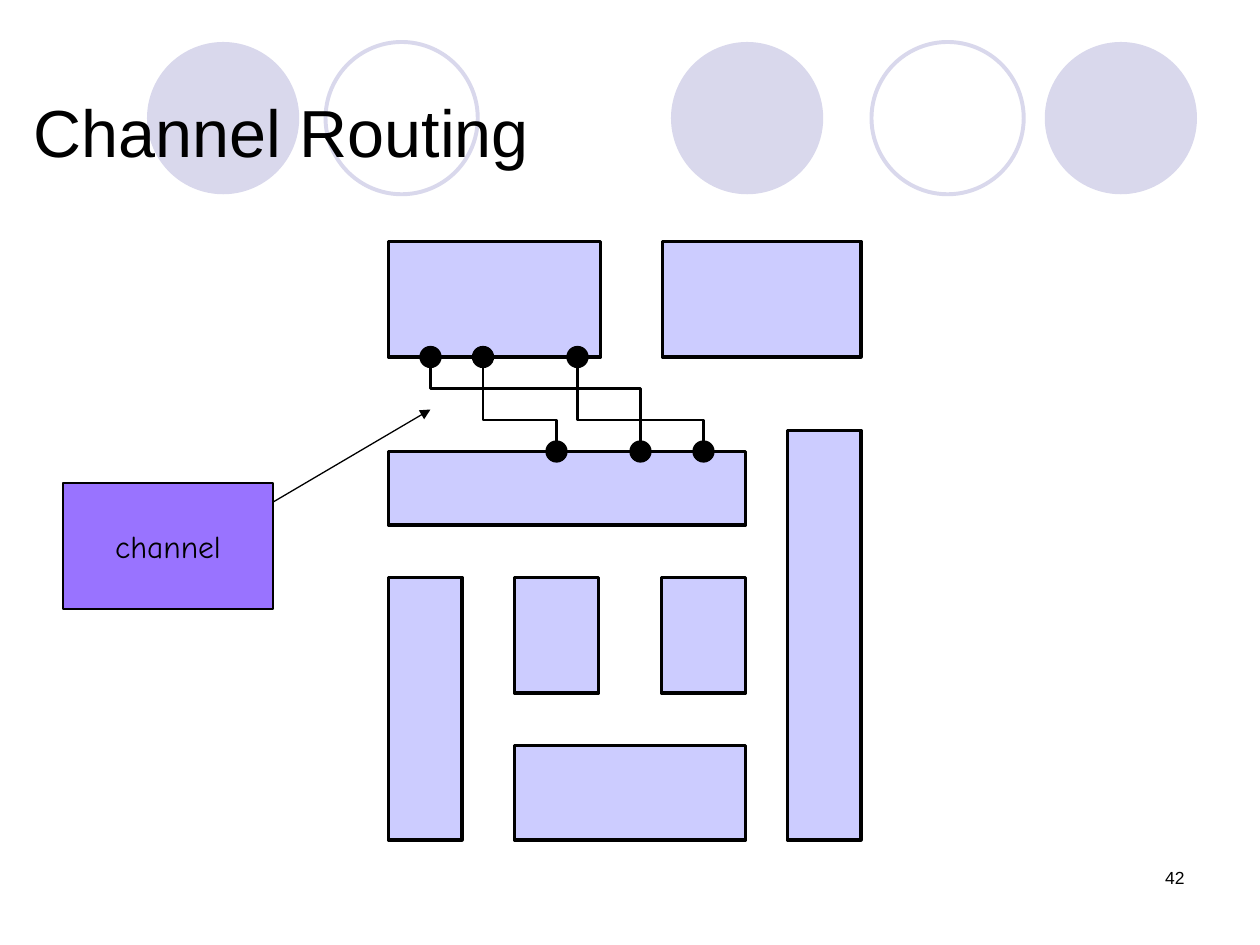
from pptx import Presentation
from pptx import util as u
from pptx.dml.color import RGBColor
from pptx.enum import shapes, text
from pptx.oxml.ns import qn
from lxml import etree

BLACK = RGBColor(0x00, 0x00, 0x00)
LAVENDER = RGBColor(0xD9, 0xD8, 0xEC)
BLOCK_BLUE = RGBColor(0xCC, 0xCC, 0xFF)
VIOLET = RGBColor(0x99, 0x73, 0xFF)
GRID_CM = 2.54 / 12

RECT = shapes.MSO_SHAPE.RECTANGLE
OVAL = shapes.MSO_SHAPE.OVAL


def grid(*steps):
    """Turn grid steps into lengths."""
    return [u.Cm(n * GRID_CM) for n in steps]


class RoutingSlide:
    def __init__(self, prs):
        self.s = prs.slides.add_slide(prs.slide_layouts[5])

    def shape(self, kind, box, fill=None, line=None, width=0.75):
        sp = self.s.shapes.add_shape(kind, *grid(*box))
        self.paint(sp, fill, line, width)
        return sp

    def paint(self, sp, fill, line, width):
        sp.shadow.inherit = False
        if fill is None:
            sp.fill.background()
        else:
            sp.fill.solid()
            sp.fill.fore_color.rgb = fill
        if line is None:
            sp.line.fill.background()
        else:
            sp.line.color.rgb = line
            sp.line.width = u.Pt(width)

    def add_text(self, sp, words, size, font, align, anchor, wrap=True):
        tf = sp.text_frame
        tf.word_wrap = wrap
        tf.auto_size = text.MSO_AUTO_SIZE.NONE
        tf.vertical_anchor = anchor
        p = tf.paragraphs[0]
        p.alignment = align
        r = p.add_run()
        r.text = words
        r.font.size = u.Pt(size)
        r.font.name = font
        r.font.color.rgb = BLACK

    def title(self, words, box):
        sp = self.s.shapes.title
        sp.left, sp.top, sp.width, sp.height = grid(*box)
        self.add_text(sp, words, 38, "Arial", text.PP_ALIGN.LEFT,
                      text.MSO_ANCHOR.MIDDLE)
        # Bring the title in front of the circles
        sp.element.getparent().append(sp.element)

    def page_number(self, words, box):
        sp = self.s.shapes.add_textbox(*grid(*box))
        self.add_text(sp, words, 10, "Arial", text.PP_ALIGN.RIGHT,
                      text.MSO_ANCHOR.TOP)

    def pin(self, x, y):
        self.shape(OVAL, (x - 1, y - 1, 2, 2), BLACK, BLACK)

    def net(self, x1, y1, x2, y2, track):
        """Join two pins by a wire that crosses over at height track."""
        self.pin(x1, y1)
        self.pin(x2, y2)
        builder = self.s.shapes.build_freeform(*grid(x1, y1))
        corners = [(x1, track), (x2, track), (x2, y2)]
        builder.add_line_segments([grid(*c) for c in corners], close=False)
        self.paint(builder.convert_to_shape(), None, BLACK, 1.5)

    def arrow(self, x1, y1, x2, y2):
        cn = self.s.shapes.add_connector(
            shapes.MSO_CONNECTOR.STRAIGHT, *grid(x1, y1, x2, y2))
        cn.line.color.rgb = BLACK
        cn.line.width = u.Pt(0.75)
        ln = cn.element.spPr.find(qn("a:ln"))
        etree.SubElement(ln, qn("a:tailEnd"), type="triangle")
        etree.SubElement(cn.element.spPr, qn("a:effectLst"))


def main():
    prs = Presentation()
    prs.slide_width, prs.slide_height = u.Cm(25.4), u.Cm(19.05)
    slide = RoutingSlide(prs)

    for x in (63.9, 99.5, 14):
        slide.shape(OVAL, (x, 4, 14.5, 14.5), fill=LAVENDER)
    for x in (83, 31):
        slide.shape(OVAL, (x, 4, 14.5, 14.5), line=LAVENDER, width=2.25)
    slide.title("Channel Routing", (2, 6, 116, 13))

    blocks = [
        (63.1, 23, 18.9, 11), (37, 23, 20.2, 11), (37, 43, 34, 7),
        (37, 55, 7, 25), (49, 71, 22, 9), (49, 55, 8, 11),
        (63, 55, 8, 11), (75, 41, 7, 39),
    ]
    for box in blocks:
        slide.shape(RECT, box, BLOCK_BLUE, BLACK, 2)

    for x1, x2, track in ((41, 61, 37), (46, 53, 40), (55, 67, 40)):
        slide.net(x1, 34, x2, 43, track)

    slide.arrow(24, 49, 41, 39)
    label = slide.shape(RECT, (6, 46, 20, 12), VIOLET, BLACK)
    slide.add_text(label, "channel", 18, "Comic Neue", text.PP_ALIGN.CENTER,
                   text.MSO_ANCHOR.MIDDLE, wrap=False)
    slide.page_number("42", (86, 82, 28, 6))

    prs.save("out.pptx")


if __name__ == "__main__":
    main()
